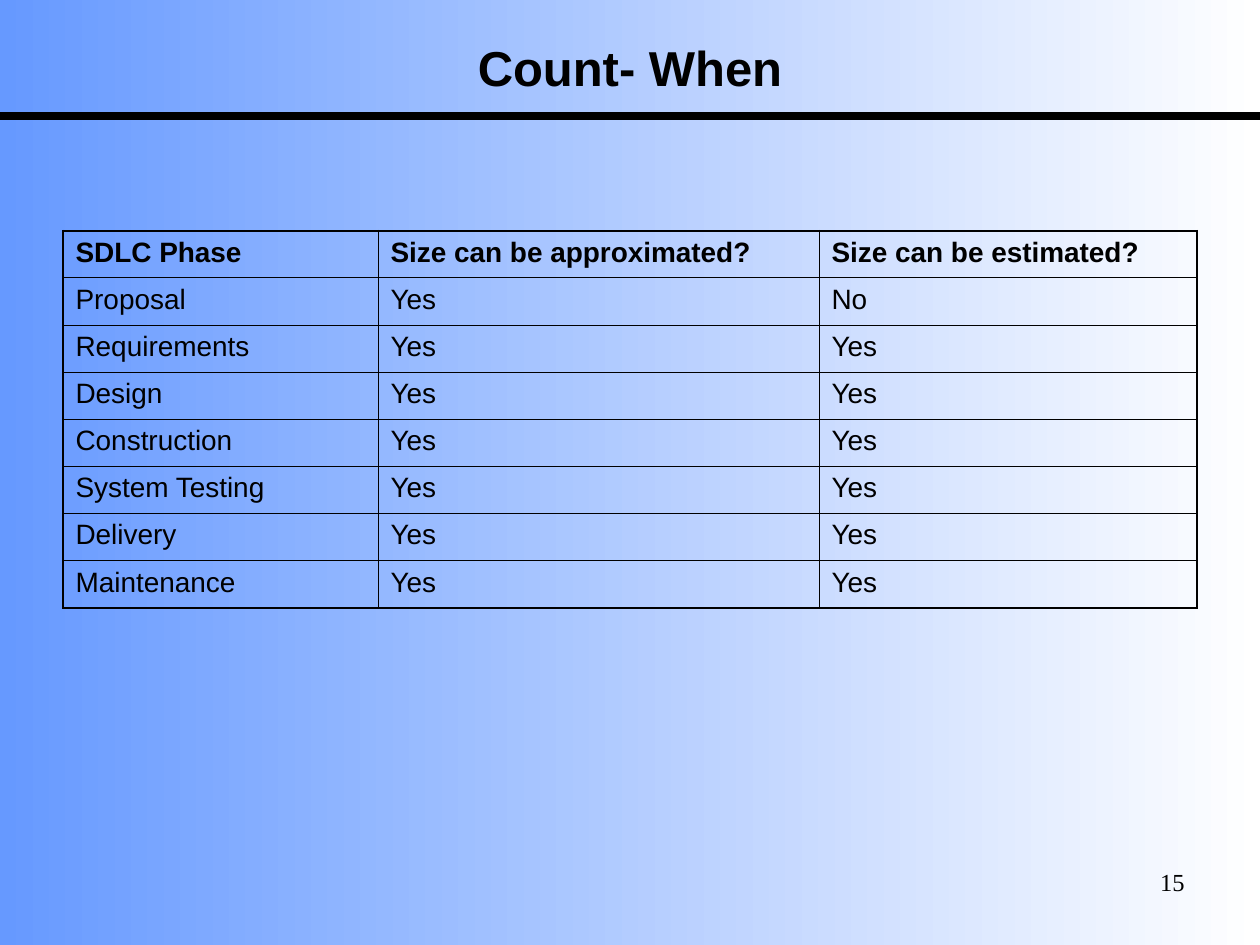
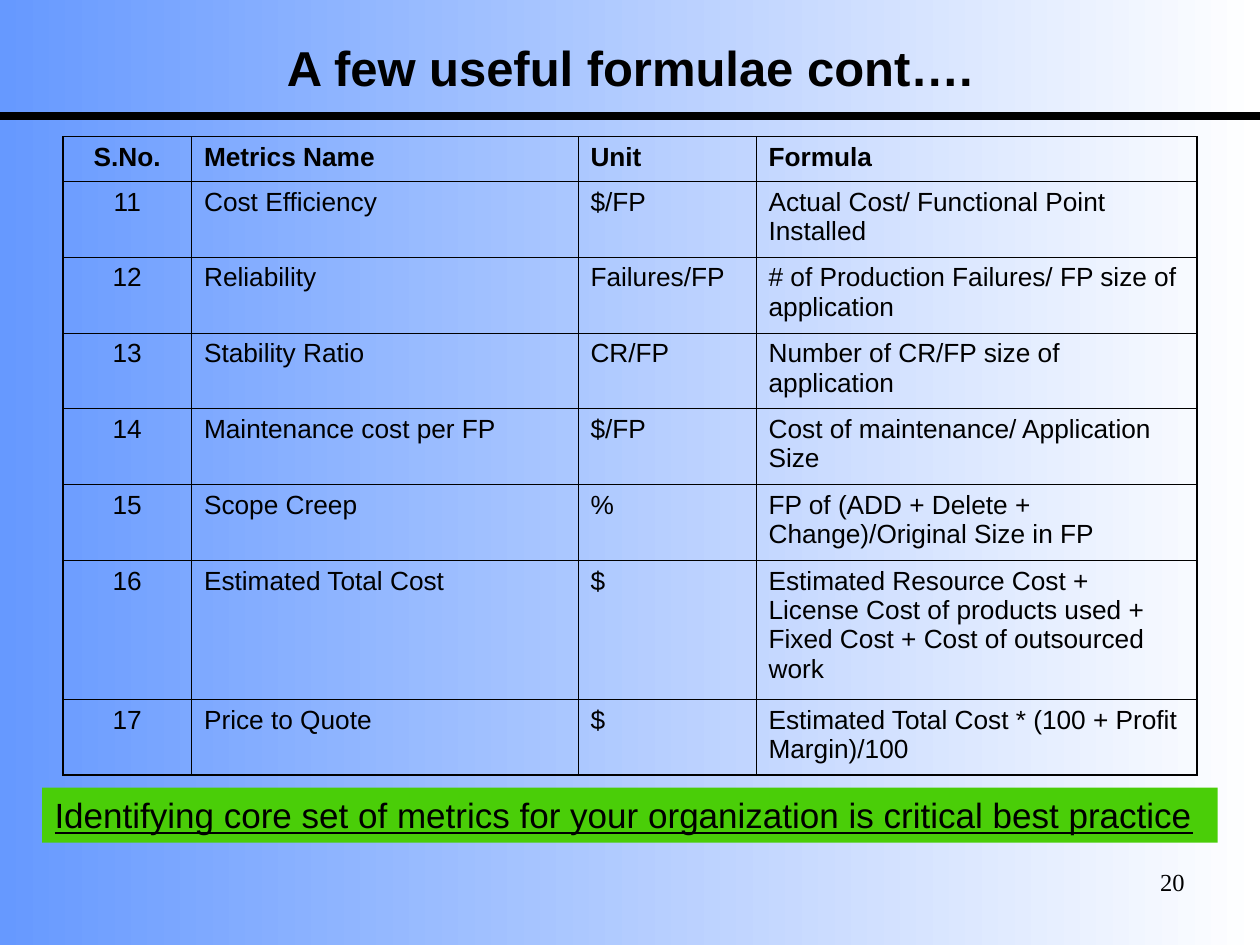
from pptx import Presentation
from pptx.dml.color import RGBColor
from pptx.enum.shapes import MSO_CONNECTOR, MSO_SHAPE
from pptx.enum.text import MSO_ANCHOR, MSO_AUTO_SIZE, PP_ALIGN
from pptx.oxml.ns import qn
from pptx.util import Cm, Pt
from lxml import etree

STRAIGHT, RECTANGLE = MSO_CONNECTOR.STRAIGHT, MSO_SHAPE.RECTANGLE
TOP, MIDDLE = MSO_ANCHOR.TOP, MSO_ANCHOR.MIDDLE
LEFT, CENTER, RIGHT = PP_ALIGN.LEFT, PP_ALIGN.CENTER, PP_ALIGN.RIGHT
FIXED, GROW = MSO_AUTO_SIZE.NONE, MSO_AUTO_SIZE.SHAPE_TO_FIT_TEXT

BLACK, WHITE, BLUE, GREEN = "000000", "FFFFFF", "6699FF", "4ACE08"
SANS, SERIF = "Arial", "Times New Roman"
PAGE_WIDTH, PAGE_HEIGHT, MARGIN = 25.4, 19.05, 1.27
TABLE_WIDTH = PAGE_WIDTH - 2 * MARGIN
THIN, THICK = 0.45, 1.08
TITLE_ONLY = 5

PAGES = [
    {
        "title": "Count- When",
        "number": "15",
        "top": 4.65,
        "columns": [6.35, 8.89, 7.62],
        "heights": [0.95] * 8,
        "aligns": [LEFT, LEFT, LEFT],
        "size": 16,
        "space": 4,
        "top_border": THICK,
        "rows": [
            ("SDLC Phase", "Size can be approximated?", "Size can be estimated?"),
            ("Proposal", "Yes", "No"),
            ("Requirements", "Yes", "Yes"),
            ("Design", "Yes", "Yes"),
            ("Construction", "Yes", "Yes"),
            ("System Testing", "Yes", "Yes"),
            ("Delivery", "Yes", "Yes"),
            ("Maintenance", "Yes", "Yes"),
        ],
    },
    {
        "title": "A few useful formulae cont….",
        "number": "20",
        "top": 2.75,
        "columns": [2.59, 7.79, 3.59, 8.89],
        "heights": [0.9] + [1.53] * 5 + [2.8, 1.53],
        "aligns": [CENTER, LEFT, LEFT, LEFT],
        "size": 15,
        "space": 3.7,
        "top_border": THIN,
        "rows": [
            ("S.No.", "Metrics Name", "Unit", "Formula"),
            ("11", "Cost Efficiency", "$/FP", "Actual Cost/ Functional Point Installed"),
            ("12", "Reliability", "Failures/FP", "# of Production Failures/ FP size of application"),
            ("13", "Stability Ratio", "CR/FP", "Number of CR/FP size of application"),
            ("14", "Maintenance cost per FP", "$/FP", "Cost of maintenance/ Application Size"),
            ("15", "Scope Creep", "%", "FP of (ADD + Delete + Change)/Original Size in FP"),
            ("16", "Estimated Total Cost", "$",
             "Estimated Resource Cost + License Cost of products used + Fixed Cost + Cost of outsourced work"),
            ("17", "Price to Quote", "$", "Estimated Total Cost * (100 + Profit Margin)/100"),
        ],
        "banner": "Identifying core set of metrics for your organization is critical best practice",
    },
]


def color(value):
    return RGBColor.from_string(value)


def write(frame, text, size, font=SANS, align=LEFT, bold=False, underline=False, space=0):
    frame.text = text
    para = frame.paragraphs[0]
    para.alignment = align
    para.space_before = Pt(space)
    span = para.runs[0].font
    span.name, span.size, span.bold, span.underline = font, Pt(size), bold, underline
    span.color.rgb = color(BLACK)


def paint_background(master):
    fill = master.background.fill
    fill.gradient()
    fill.gradient_angle = 180
    for stop, value in zip(fill.gradient_stops, (WHITE, BLUE)):
        stop.color.rgb = color(value)


def add_title(page, text):
    title = page.shapes.title
    title.left, title.top = Cm(MARGIN), Cm(0.56)
    title.width, title.height = Cm(TABLE_WIDTH), Cm(1.57)
    write(title.text_frame, text, 28, align=CENTER, bold=True)
    title.text_frame.vertical_anchor = MIDDLE
    title.text_frame.auto_size = FIXED


def add_rule(page):
    rule = page.shapes.add_connector(STRAIGHT, 0, Cm(2.33), Cm(PAGE_WIDTH), Cm(2.33))
    rule.line.color.rgb = color(BLACK)
    rule.line.width = Pt(4.5)
    etree.SubElement(rule._element.spPr, qn("a:effectLst"))


def add_number(page, number):
    width = 6.55
    box = page.shapes.add_textbox(Cm(PAGE_WIDTH - MARGIN - width), Cm(17.35), Cm(width), Cm(1.32))
    box.text_frame.word_wrap = True
    write(box.text_frame, number, 14, font=SERIF, align=RIGHT)


def add_border(cell, side, width):
    line = etree.SubElement(cell._tc.get_or_add_tcPr(), qn(f"a:ln{side}"), w=str(Pt(width)))
    fill = etree.SubElement(line, qn("a:solidFill"))
    etree.SubElement(fill, qn("a:srgbClr"), val=BLACK)


def add_grid(page, content):
    rows, columns = content["rows"], content["columns"]
    frame = page.shapes.add_table(len(rows), len(columns), Cm(MARGIN), Cm(content["top"]),
                                  Cm(TABLE_WIDTH), Cm(sum(content["heights"])))
    table = frame.table
    table.first_row = table.horz_banding = False
    for column, width in zip(table.columns, columns):
        column.width = Cm(width)
    for row, height in zip(table.rows, content["heights"]):
        row.height = Cm(height)
    for r, texts in enumerate(rows):
        for c, text in enumerate(texts):
            cell = table.cell(r, c)
            write(cell.text_frame, text, content["size"], align=content["aligns"][c],
                  bold=r == 0, space=content["space"])
            add_border(cell, "L", THICK if c == 0 else THIN)
            add_border(cell, "R", THICK if c == len(columns) - 1 else THIN)
            add_border(cell, "T", content["top_border"] if r == 0 else THIN)
            add_border(cell, "B", THICK if r == len(rows) - 1 else THIN)
            cell.fill.background()


def add_banner(page, text):
    width = 23.7
    banner = page.shapes.add_shape(RECTANGLE, Cm((PAGE_WIDTH - width) / 2), Cm(15.88), Cm(width), Cm(1.11))
    banner.shadow.inherit = False
    banner.fill.solid()
    banner.fill.fore_color.rgb = color(GREEN)
    banner.line.fill.background()
    frame = banner.text_frame
    frame.word_wrap = True
    frame.vertical_anchor = TOP
    frame.auto_size = GROW
    write(frame, text, 20, underline=True, space=5)


def main():
    deck = Presentation()
    deck.slide_width, deck.slide_height = Cm(PAGE_WIDTH), Cm(PAGE_HEIGHT)
    paint_background(deck.slide_master)
    for content in PAGES:
        page = deck.slides.add_slide(deck.slide_layouts[TITLE_ONLY])
        add_rule(page)
        add_title(page, content["title"])
        add_grid(page, content)
        if "banner" in content:
            add_banner(page, content["banner"])
        add_number(page, content["number"])
    deck.save("out.pptx")


if __name__ == "__main__":
    main()
